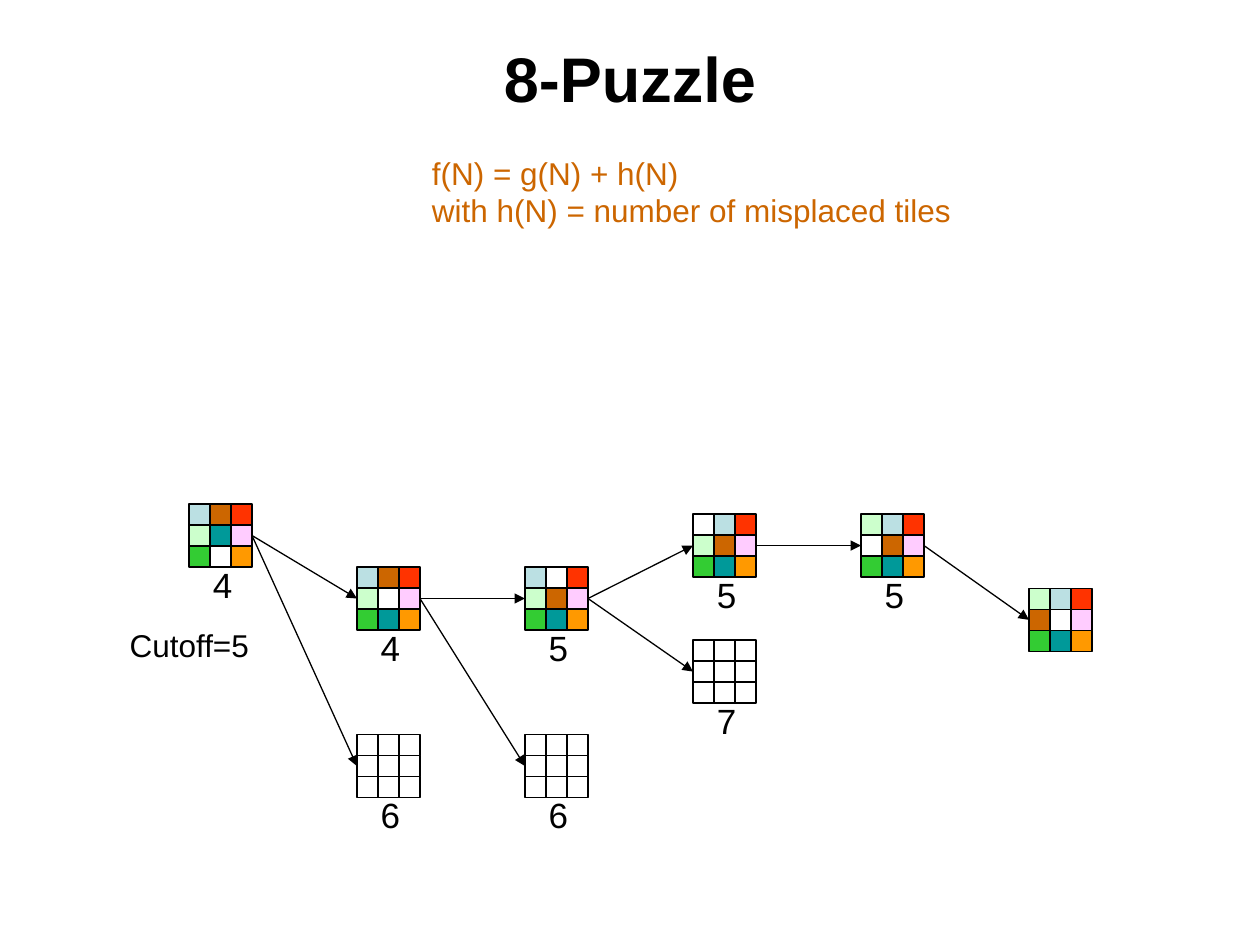
from lxml import etree
from pptx import Presentation
from pptx.dml.color import RGBColor
from pptx.enum.shapes import MSO_CONNECTOR as CONN, MSO_SHAPE as SHAPE
from pptx.enum.text import MSO_ANCHOR as ANCHOR, PP_ALIGN as ALIGN
from pptx.oxml.ns import qn
from pptx.util import Inches, Pt

COLORS = {
    "black": "000000", "white": "FFFFFF", "heuristic": "CC6600",
    "1": "BBE0E3", "2": "CC6600", "3": "FF3300", "4": "CCFFCC",
    "5": "009999", "6": "FFCCFF", "7": "33CC33", "8": "FF9900", "0": "FFFFFF",
}
SIDE, LEFT, STEP = 0.5, 1.5, 4 / 3
UNOPENED = "000000000"
# Each state: column, top, tiles read row by row (0 is empty), f value, parent.
STATES = {
    "start": (0, 4, "123456708", "4", None),
    "goal": (5, 4.67, "413206758", None, "left"),
    "up": (1, 4.5, "123406758", "4", "start"),
    "start_cut": (1, 5.83, UNOPENED, "6", "start"),
    "up_cut": (2, 5.83, UNOPENED, "6", "up"),
    "top": (2, 4.5, "103426758", "5", "up"),
    "top_cut": (3, 5.08, UNOPENED, "7", "top"),
    "corner": (3, 4.08, "013426758", "5", "top"),
    "left": (4, 4.08, "413026758", "5", "corner"),
}


def rgb(name):
    """Look up a colour by its name."""
    return RGBColor.from_string(COLORS[name])


def add_text(shapes, box, lines, size, color="black", bold=False, wrap=False):
    """Place lines of text in a box and return the text box."""
    tb = shapes.add_textbox(*map(Inches, box))
    tf = tb.text_frame
    tf.word_wrap = wrap
    tf.text = "\n".join(lines)
    for p in tf.paragraphs:
        p.font.name, p.font.size, p.font.bold = "Arial", Pt(size), bold
        p.font.color.rgb = rgb(color)
    return tb


def add_title(s, box):
    """Place the centred slide title."""
    tf = add_text(s.shapes, box, ["8-Puzzle"], 36, bold=True, wrap=True).text_frame
    tf.vertical_anchor = ANCHOR.MIDDLE
    tf.paragraphs[0].alignment = ALIGN.CENTER


def add_board(shapes, x, y, tiles, value):
    """Draw a three by three board with its f value below."""
    if value:
        label = add_text(shapes, (x + 0.09, y + 0.42, 0.35, 0.44), [value], 20)
        if tiles == UNOPENED:
            label.fill.solid()
            label.fill.fore_color.rgb = rgb("white")
    cell = SIDE / 3
    for i, tile in enumerate(tiles):
        row, col = divmod(i, 3)
        box = (x + col * cell, y + row * cell, cell, cell)
        sp = shapes.add_shape(SHAPE.RECTANGLE, *map(Inches, box))
        sp.shadow.inherit = False
        sp.fill.solid()
        sp.fill.fore_color.rgb = rgb(tile)
        sp.line.color.rgb = rgb("black")
        sp.line.width = Pt(0.75)


def add_arrow(shapes, start, end):
    """Draw a thin arrow between two points."""
    c = shapes.add_connector(CONN.STRAIGHT, *map(Inches, (*start, *end)))
    c.line.color.rgb = rgb("black")
    c.line.width = Pt(0.75)
    etree.SubElement(c.line._get_or_add_ln(), qn("a:tailEnd"), type="triangle")
    etree.SubElement(c._element.spPr, qn("a:effectLst"))


def add_tree(s, x, y):
    """Draw the search tree with its first column at x and its root at y."""
    origin = STATES["start"][1]
    spots = {name: (x + col * STEP, y + top - origin)
             for name, (col, top, *_) in STATES.items()}
    for name, (_, _, tiles, value, parent) in STATES.items():
        left, top = spots[name]
        shapes = s.shapes.add_group_shape().shapes
        add_board(shapes, left, top, tiles, value)
        if parent:
            px, py = spots[parent]
            add_arrow(shapes, (px + SIDE, py + SIDE / 2), (left, top + SIDE / 2))


def main():
    """Build the slide and save it."""
    prs = Presentation()
    prs.slide_width, prs.slide_height = Inches(10), Inches(7.5)
    s = prs.slides.add_slide(prs.slide_layouts[6])
    add_tree(s, LEFT, 4)
    add_text(s.shapes, (0.93, 4.92, 1.15, 0.4), ["Cutoff=5"], 18)
    add_title(s, (0.5, 0.3, 9, 0.62))
    formula = ["f(N) = g(N) + h(N)", "with h(N) = number of misplaced tiles"]
    add_text(s.shapes, (3.33, 1.17, 4.32, 0.7), formula, 18, "heuristic")
    prs.save("out.pptx")


if __name__ == "__main__":
    main()
